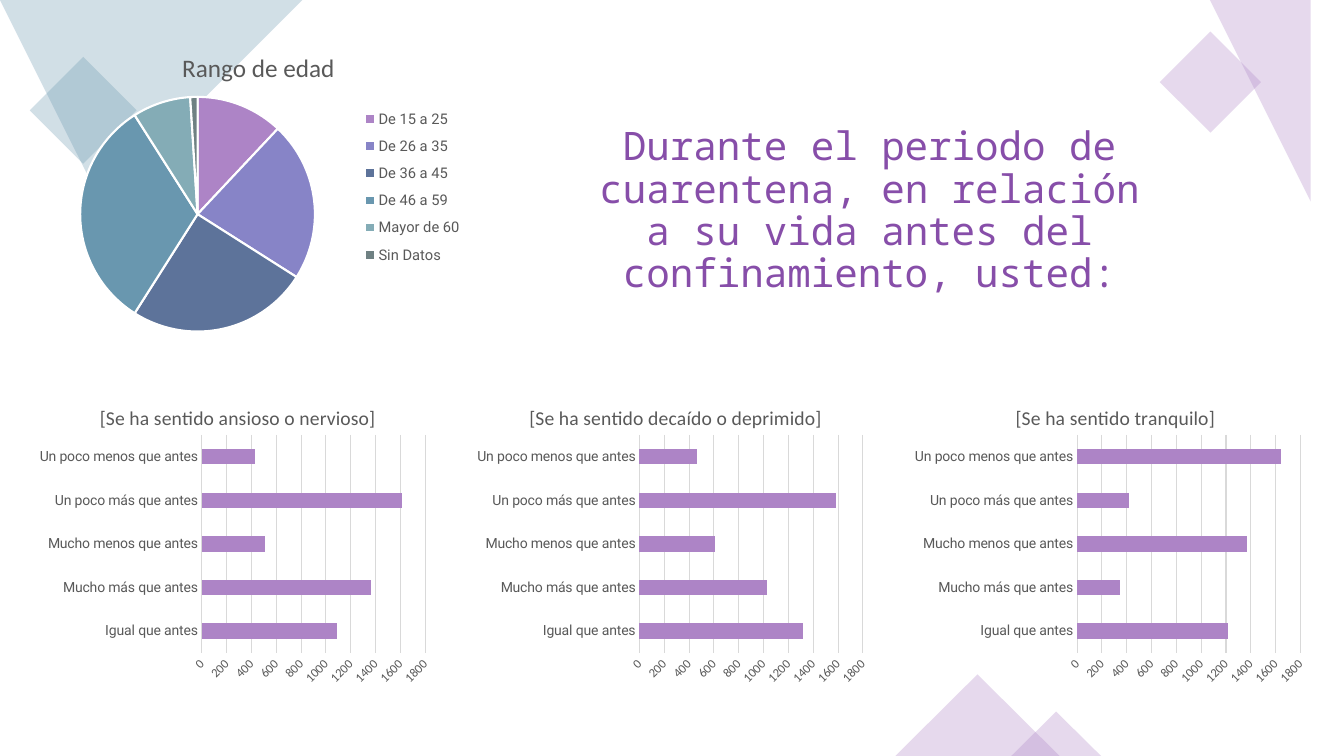
from lxml import etree
from pptx import Presentation
from pptx.chart.data import CategoryChartData
from pptx.dml.color import RGBColor
from pptx.enum import chart as ch, shapes, text
from pptx.oxml.ns import qn
from pptx.util import Inches, Pt

LILAC = RGBColor(0xAD, 0x84, 0xC6)
PERIWINKLE = RGBColor(0x87, 0x84, 0xC7)
NAVY = RGBColor(0x5D, 0x73, 0x9A)
TEAL = RGBColor(0x69, 0x97, 0xAF)
AQUA = RGBColor(0x84, 0xAC, 0xB6)
SLATE = RGBColor(0x6F, 0x81, 0x83)
PURPLE = RGBColor(0x87, 0x4E, 0xA9)
GREY = RGBColor(0x59, 0x59, 0x59)
GRID = RGBColor(0xD9, 0xD9, 0xD9)
WHITE = RGBColor(0xFF, 0xFF, 0xFF)


def tint(shape, color):
    """Fill a decoration at 30 % opacity, without outline or shadow."""
    shape.shadow.inherit = False
    shape.fill.solid()
    shape.fill.fore_color.rgb = color
    shape.line.fill.background()
    for clr in shape.fill._xPr.iter(qn("a:srgbClr")):
        etree.SubElement(clr, qn("a:alpha"), val="30000")


def place(chart, tag, index, **fractions):
    """Give a chart part a manual layout, in fractions of the chart area."""
    part = chart.element.xpath(f".//c:{tag}")[0]
    for old in part.findall(qn("c:layout")):
        part.remove(old)
    layout = etree.Element(qn("c:layout"))
    manual = etree.SubElement(layout, qn("c:manualLayout"))
    if tag == "plotArea":
        etree.SubElement(manual, qn("c:layoutTarget"), val="inner")
    for name in "xy":
        etree.SubElement(manual, qn(f"c:{name}Mode"), val="edge")
    for name, value in fractions.items():
        etree.SubElement(manual, qn(f"c:{name}"), val=str(value))
    part.insert(index, layout)


deck = Presentation()
deck.slide_width, deck.slide_height = Inches(13.33), Inches(7.5)
page = deck.slides.add_slide(deck.slide_layouts[5])

# Corner decorations
corners = [
    (TEAL, [(0, 0), (3.1, 0), (1.4, 1.62), (0, 0.28)]),
    (LILAC, [(11.81, 0), (13.33, 0), (13.33, 1.3), (12.92, 1.71), (11.5, 0.3)]),
]
for color, points in corners:
    builder = page.shapes.build_freeform(*points[0], scale=Inches(1))
    builder.add_line_segments(points[1:], close=True)
    tint(builder.convert_to_shape(), color)

SQUARE = shapes.MSO_SHAPE.RECTANGLE
TRIANGLE = shapes.MSO_SHAPE.ISOSCELES_TRIANGLE
decorations = [
    (SQUARE, TEAL, 45, (0.45, 0.72, 0.75, 0.75)),
    (SQUARE, LILAC, 45, (11.65, 0.46, 0.71, 0.71)),
    (TRIANGLE, LILAC, 0, (8.88, 6.69, 1.63, 0.81)),
    (TRIANGLE, LILAC, 0, (10.03, 7.06, 0.89, 0.44)),
]
for kind, color, angle, box in decorations:
    shape = page.shapes.add_shape(kind, *map(Inches, box))
    shape.rotation = angle
    tint(shape, color)

# Age pie
ages = [
    ("De 15 a 25", 12, LILAC),
    ("De 26 a 35", 22, PERIWINKLE),
    ("De 36 a 45", 25, NAVY),
    ("De 46 a 59", 32, TEAL),
    ("Mayor de 60", 8, AQUA),
    ("Sin Datos", 1, SLATE),
]
data = CategoryChartData()
data.categories = [label for label, _, _ in ages]
data.add_series("Series 1", [value for _, value, _ in ages])
pie = page.shapes.add_chart(
    ch.XL_CHART_TYPE.PIE, *map(Inches, (0.31, 0.26, 4.4, 3.19)), data).chart
pie.plots[0].vary_by_categories = True
for index, (_, _, color) in enumerate(ages):
    wedge = pie.plots[0].series[0].points[index].format
    wedge.fill.solid()
    wedge.fill.fore_color.rgb = color
    wedge.line.color.rgb = WHITE
    wedge.line.width = Pt(1.5)
pie.has_legend = True
pie.legend.position = ch.XL_LEGEND_POSITION.RIGHT
pie.legend.include_in_layout = False
pie.legend.font.size = Pt(10.5)
pie.legend.font.name = "Roboto"
pie.legend.font.color.rgb = GREY
place(pie, "legend", 1, x=0.74, y=0.23, w=0.24, h=0.54)
place(pie, "plotArea", 0, x=0.11, y=0.22, w=0.53, h=0.73)
titled = [(pie, "Rango de edad", 18, 0.33)]

# Mood bar charts
answers = ["Igual que antes", "Mucho más que antes", "Mucho menos que antes",
           "Un poco más que antes", "Un poco menos que antes"]
moods = [
    ("[Se ha sentido ansioso o nervioso]", 0.16, [1090, 1360, 510, 1610, 430]),
    ("[Se ha sentido decaído o deprimido]", 0.14, [1320, 1030, 610, 1580, 460]),
    ("[Se ha sentido tranquilo]", 0.26, [1220, 350, 1370, 420, 1640]),
]
for column, (title, title_x, values) in enumerate(moods):
    data = CategoryChartData()
    data.categories = answers
    data.add_series("Series 1", values)
    bars = page.shapes.add_chart(
        ch.XL_CHART_TYPE.BAR_CLUSTERED, Inches(0.31 + 4.34 * column),
        Inches(3.79), Inches(4.03), Inches(3.09), data).chart
    bars.has_legend = False
    plot = bars.plots[0]
    plot.vary_by_categories = False
    plot.gap_width = 182
    plot.series[0].format.fill.solid()
    plot.series[0].format.fill.fore_color.rgb = LILAC

    for axis, font, size in ((bars.category_axis, "Roboto", 10),
                             (bars.value_axis, "Calibri", 9)):
        axis.major_tick_mark = axis.minor_tick_mark = ch.XL_TICK_MARK.NONE
        axis.tick_labels.font.name = font
        axis.tick_labels.font.size = Pt(size)
        axis.tick_labels.font.color.rgb = GREY
    bars.category_axis.has_major_gridlines = False
    bars.value_axis.has_major_gridlines = True
    for line in (bars.category_axis.format.line,
                 bars.value_axis.major_gridlines.format.line):
        line.color.rgb = GRID
        line.width = Pt(0.75)
    bars.value_axis.format.line.fill.background()
    bars.value_axis.minimum_scale = 0
    bars.value_axis.maximum_scale = 1800
    bars.value_axis.major_unit = 200
    bars.element.xpath(".//c:valAx/c:txPr/a:bodyPr")[0].set("rot", "-2700000")
    place(bars, "plotArea", 0, x=0.42, y=0.17, w=0.55, h=0.7)
    titled.append((bars, title, 14, title_x))

for chart, title, size, title_x in titled:
    chart.font.name = "Calibri"
    chart.font.size = Pt(10)
    chart.has_title = True
    frame = chart.chart_title.text_frame
    frame.text = title
    font = frame.paragraphs[0].runs[0].font
    font.name, font.size, font.bold = "Calibri", Pt(size), False
    font.color.rgb = GREY
    chart.chart_title.include_in_layout = False
    place(chart, "title", 1, x=title_x, y=0.06)

# Question
question = page.shapes.title
question.left, question.top = Inches(5.72), Inches(1.1)
question.width, question.height = Inches(5.81), Inches(2)
frame = question.text_frame
frame.text = ("Durante el periodo de cuarentena, en relación a su vida "
              "antes del confinamiento, usted:")
frame.word_wrap = True
frame.auto_size = text.MSO_AUTO_SIZE.NONE
frame.vertical_anchor = text.MSO_ANCHOR.MIDDLE
para = frame.paragraphs[0]
para.alignment = text.PP_ALIGN.CENTER
para.line_spacing = 0.9
span = para.runs[0]
span.font.name, span.font.size = "Noto Sans Mono", Pt(28)
span.font.color.rgb = PURPLE

deck.save("out.pptx")
